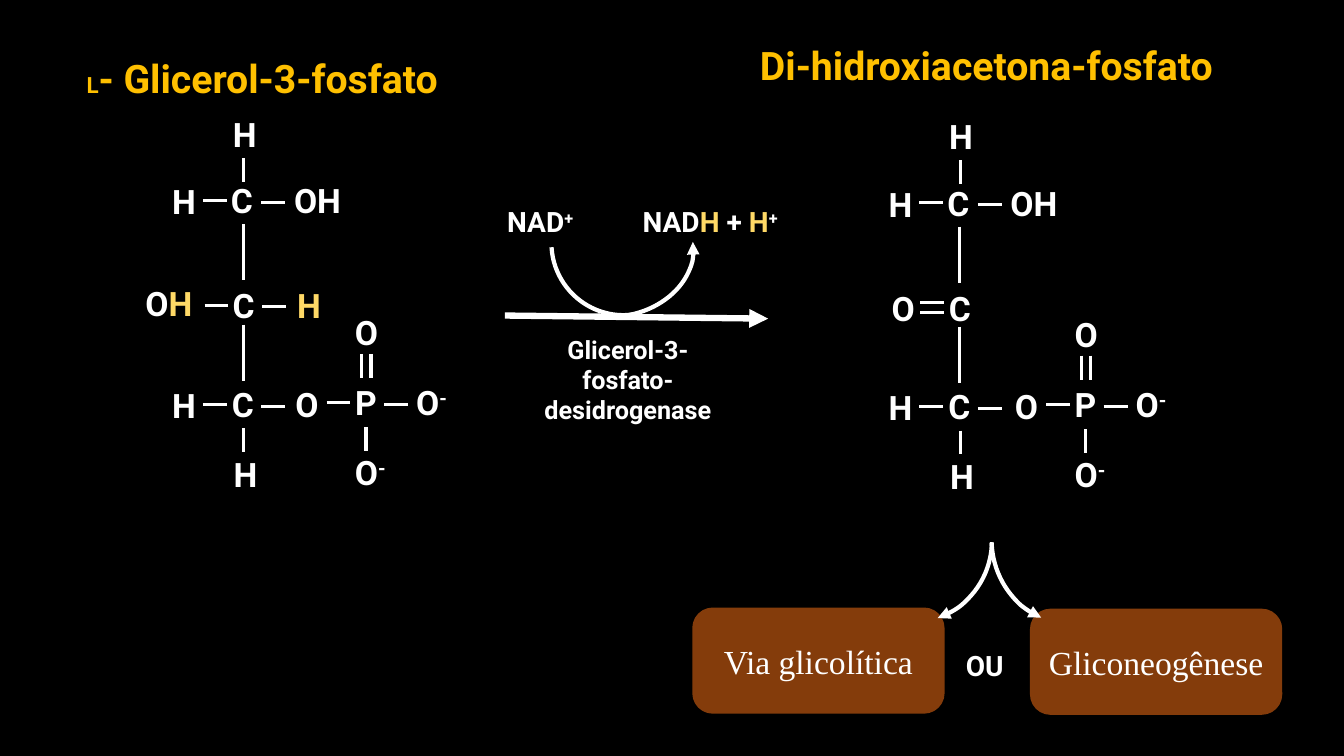
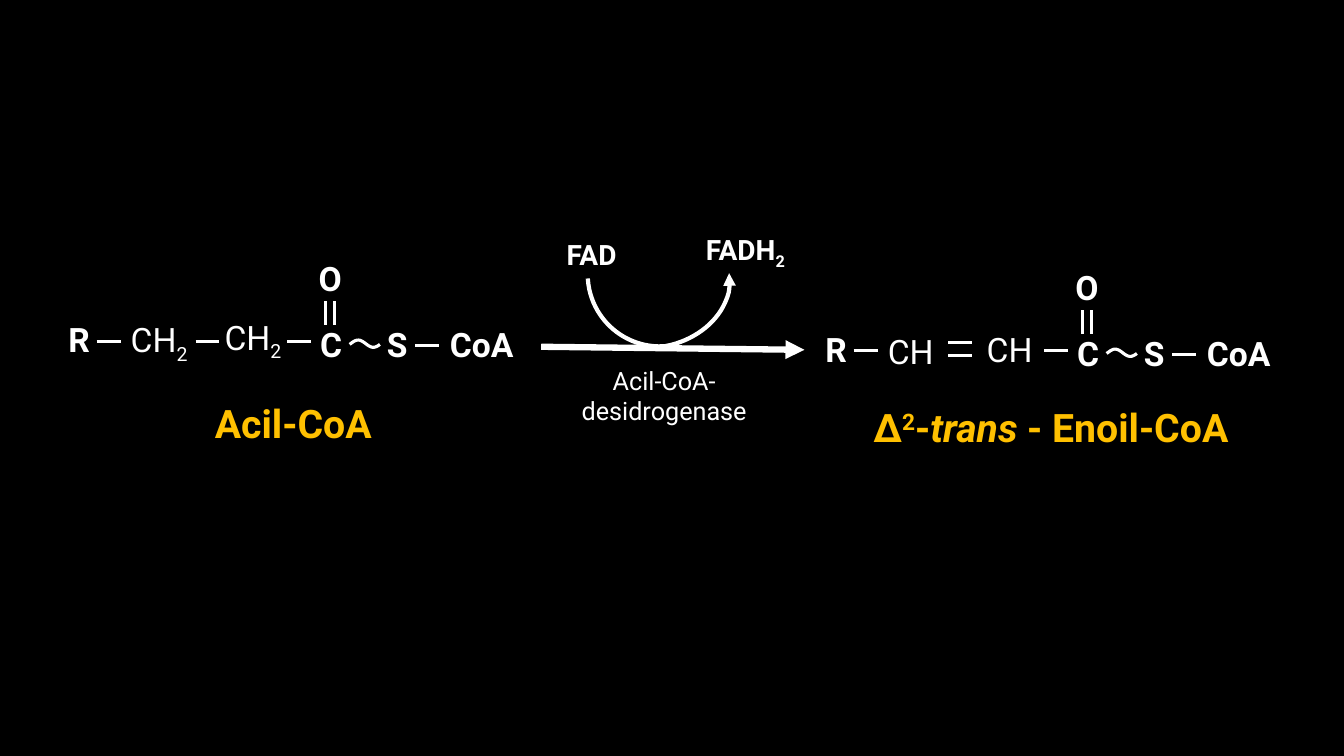
import math

import lxml.etree
import pptx
import pptx.dml.color
import pptx.enum.shapes
import pptx.enum.text
import pptx.oxml.ns
import pptx.util

Pt = pptx.util.Pt
qn = pptx.oxml.ns.qn
SHAPE = pptx.enum.shapes.MSO_SHAPE
ALIGN = pptx.enum.text.PP_ALIGN
ANCHOR = pptx.enum.text.MSO_ANCHOR

BLACK = pptx.dml.color.RGBColor(0x00, 0x00, 0x00)
WHITE = pptx.dml.color.RGBColor(0xFF, 0xFF, 0xFF)
AMBER = pptx.dml.color.RGBColor(0xFF, 0xC0, 0x00)
PALE_YELLOW = pptx.dml.color.RGBColor(0xFF, 0xD9, 0x66)
BROWN = pptx.dml.color.RGBColor(0x84, 0x3C, 0x0B)

BOND = 17
LONG_BOND = 40
TRANSFERRED_H = ("H", {"color": PALE_YELLOW})
CHARGED_O = ["O", ("-", {"baseline": 30})]
METHYLENE = ["CH", ("2", {"baseline": -25})]


def add_runs(paragraph, runs, **shared):
    for item in runs:
        text, own = (item, {}) if isinstance(item, str) else item
        style = {"font": "Roboto", "bold": True, "color": WHITE, **shared, **own}
        run = paragraph.add_run()
        run.text = text
        run.font.name = style["font"]
        run.font.size = Pt(style["size"])
        run.font.bold = style["bold"]
        run.font.color.rgb = style["color"]
        if "italic" in style:
            run.font.italic = style["italic"]
        if "baseline" in style:
            run._r.get_or_add_rPr().set("baseline", str(style["baseline"] * 1000))


def add_label(slide, x, y, runs, width=38, height=36, size=24, align=ALIGN.CENTER, **style):
    label = slide.shapes.add_textbox(
        Pt(x - width / 2), Pt(y - height / 2), Pt(width), Pt(height)
    )
    label.text_frame.word_wrap = True
    paragraph = label.text_frame.paragraphs[0]
    paragraph.alignment = align
    add_runs(paragraph, runs, size=size, **style)


def add_heading(placeholder, left, top, width, runs):
    placeholder.left, placeholder.top = Pt(left), Pt(top)
    placeholder.width, placeholder.height = Pt(width), Pt(41.8)
    frame = placeholder.text_frame
    frame.word_wrap = True
    frame.auto_size = pptx.enum.text.MSO_AUTO_SIZE.NONE
    frame.vertical_anchor = ANCHOR.TOP
    paragraph = frame.paragraphs[0]
    properties = paragraph._p.get_or_add_pPr()
    properties.set("marL", "0")
    properties.set("indent", "0")
    lxml.etree.SubElement(properties, qn("a:buNone"))
    paragraph.alignment = ALIGN.CENTER
    paragraph.line_spacing = 0.9
    paragraph.space_before = Pt(0)
    add_runs(paragraph, runs, size=28, color=AMBER)


def style_line(shape, width, arrow_end=None):
    shape.line.color.rgb = WHITE
    shape.line.width = Pt(width)
    if arrow_end:
        line = shape._element.spPr.find(qn("a:ln"))
        lxml.etree.SubElement(line, qn(arrow_end)).set("type", "triangle")


def add_line(slide, x1, y1, x2, y2, width=2.25, arrow_end=None):
    line = slide.shapes.add_connector(
        pptx.enum.shapes.MSO_CONNECTOR.STRAIGHT, Pt(x1), Pt(y1), Pt(x2), Pt(y2)
    )
    style_line(line, width, arrow_end)
    lxml.etree.SubElement(line._element.spPr, qn("a:effectLst"))


def bond_across(slide, x, *heights):
    for y in heights:
        add_line(slide, x, y, x + BOND, y)


def bond_down(slide, y, *columns, length=BOND):
    for x in columns:
        add_line(slide, x, y, x, y + length)


def add_arc(slide, left, top, width, height, rotation, limits, arrow_end=None, flip=False):
    arc = slide.shapes.add_shape(SHAPE.ARC, Pt(left), Pt(top), Pt(width), Pt(height))
    arc.shadow.inherit = False
    arc.fill.background()
    arc.rotation = rotation
    for index, limit in enumerate(limits):
        arc.adjustments[index] = limit
    if flip:
        arc._element.spPr.find(qn("a:xfrm")).set("flipH", "1")
    style_line(arc, 3, arrow_end)


def add_wavy_bond(slide, x, y, width=21.6, amplitude=2.6, steps=24):
    points = [
        (
            Pt(x + width * step / steps),
            Pt(y - amplitude * math.sin(math.tau * step / steps - 0.2)),
        )
        for step in range(steps + 1)
    ]
    builder = slide.shapes.build_freeform(*points[0], scale=1.0)
    builder.add_line_segments(points[1:], close=False)
    wave = builder.convert_to_shape()
    wave.shadow.inherit = False
    wave.fill.background()
    style_line(wave, 2.25)


def add_backbone(slide, x, y):
    add_label(slide, x - 43.2, y + 0.7, ["H"], 27.4)
    add_label(slide, x, y, ["C"])
    add_label(slide, x + 54, y, ["OH"], 57.6)
    add_label(slide, x + 0.4, y - 47.4, ["H"], 28)
    add_label(slide, x + 1.1, y + 74.9, ["C"])
    add_label(slide, x - 43.2, y + 146.1, ["H"], 27.4)
    add_label(slide, x + 0.7, y + 145.4, ["C"])
    add_label(slide, x + 1.1, y + 195.1, ["H"], 28)
    for row in (0, 145.4):
        bond_across(slide, x - 27.8, y + row)
        bond_across(slide, x + 14, y + row + 1.4)
    for row in (-30.3, 162.7):
        bond_down(slide, y + row, x + 1.4)
    for row in (17, 88.5):
        bond_down(slide, y + row, x + 1.1, length=LONG_BOND)


def add_phosphate(slide, x, y):
    add_label(slide, x - 43.9, y + 1.4, ["O"], 27.4)
    add_label(slide, x, y, ["P"])
    add_label(slide, x + 46.8, y, CHARGED_O, 50.4)
    add_label(slide, x + 3.2, y + 49.7, CHARGED_O, 44)
    add_label(slide, x + 0.4, y - 49.7, ["O"], 42.5)
    bond_across(slide, x - 28.1, y)
    bond_across(slide, x + 13, y + 1.4)
    bond_down(slide, y + 18, x)
    bond_down(slide, y - 34.6, x - 2.9, x + 3.6)


def add_thioester(slide, x, y):
    add_label(slide, x, y, ["C"])
    add_label(slide, x - 0.7, y - 46.8, ["O"], 42.5)
    add_label(slide, x + 47.2, y, ["S"], 49)
    add_label(slide, x + 107.6, y, ["CoA"], 73.4)
    bond_down(slide, y - 30.2, x - 4, x + 2.5)
    bond_across(slide, x - 31.3, y - 1.4)
    bond_across(slide, x + 60.1, y + 1.4)
    add_wavy_bond(slide, x + 13.3, y)


def add_reaction(slide, x, y, enzyme, lines, bold):
    add_line(slide, x, y, x + 188, y + 2.2, 4.5, "a:tailEnd")
    add_arc(slide, x + 32.8, y - 101.5, 102.2, 100.8, 228.5, (126.63, 185.35))
    add_arc(slide, x + 26.3, y - 86.8, 108.7, 87.1, 168.7, (108.86, 179.73), "a:headEnd")
    height = 7.2 + 21.8 * lines
    add_label(slide, x + 87.8, y + 9.5 + height / 2, [enzyme], 137.5, height, 18, bold=bold)


def add_cofactor(slide, x, y, runs, width=74.9):
    add_label(slide, x, y, runs, width, 31.7, 20)


def add_pathway(slide, left, top, name):
    box = slide.shapes.add_shape(
        SHAPE.ROUNDED_RECTANGLE, Pt(left), Pt(top), Pt(174.2), Pt(69.8)
    )
    box.shadow.inherit = False
    box.fill.solid()
    box.fill.fore_color.rgb = BROWN
    box.line.color.rgb = BROWN
    box.line.width = Pt(6)
    frame = box.text_frame
    frame.word_wrap = True
    frame.margin_left = frame.margin_right = Pt(3)
    frame.vertical_anchor = ANCHOR.MIDDLE
    paragraph = frame.paragraphs[0]
    paragraph.alignment = ALIGN.CENTER
    add_runs(paragraph, [name], size=24, font="Times New Roman", bold=False)


def add_glycerol_slide(presentation):
    slide = presentation.slides.add_slide(presentation.slide_layouts[1])
    substrate, product = slide.placeholders
    add_heading(substrate, 46.8, 38.9, 280.8, [("L", {"size": 16}), "- Glicerol-3-fosfato"])
    add_heading(product, 532.8, 29.5, 343.4, ["Di-hidroxiacetona-fosfato"])

    add_backbone(slide, 172.8, 143.3)
    add_label(slide, 120.6, 216.7, ["O", TRANSFERRED_H], 59.8)
    add_label(slide, 220.7, 218.2, [TRANSFERRED_H], 56.9)
    bond_across(slide, 146.2, 218.2)
    bond_across(slide, 187.2, 218.9)
    add_phosphate(slide, 261.4, 287.3)

    add_backbone(slide, 684.5, 144.9)
    add_label(slide, 645.1, 220.3, ["O"], 34.6)
    bond_across(slide, 657.4, 216, 223.2)
    add_phosphate(slide, 775.4, 288.7)

    add_reaction(slide, 360.7, 225.4, "Glicerol-3-fosfato-desidrogenase", 3, True)
    add_cofactor(slide, 385.9, 158.4, ["NAD", ("+", {"baseline": 30})])
    reduced = [
        "NAD",
        ("H ", {"color": PALE_YELLOW}),
        "+ ",
        TRANSFERRED_H,
        ("+", {"baseline": 30}),
    ]
    add_cofactor(slide, 507.2, 158.4, reduced, 137.5)

    add_pathway(slide, 497.5, 437, "Via glicolítica")
    add_pathway(slide, 738.7, 437.8, "Gliconeogênese")
    add_cofactor(slide, 703.4, 475.2, ["OU"])
    fork_limits = (72.75, 114.7)
    add_arc(slide, 708.5, 329, 108.7, 116.6, 348.3, fork_limits, "a:headEnd")
    add_arc(slide, 592.6, 328.3, 115.9, 116.6, 11.9, fork_limits, "a:headEnd", flip=True)


def add_acyl_slide(presentation):
    slide = presentation.slides.add_slide(presentation.slide_layouts[1])
    substrate, product = slide.placeholders
    add_heading(substrate, 119.5, 285.1, 180, ["Acil-CoA"])
    enoyl = ["Δ", ("2", {"baseline": 30}), "-", ("trans ", {"italic": True}), "- Enoil-CoA"]
    add_heading(product, 592.6, 288, 316.1, enoyl)

    carbon = {"bold": False, "align": ALIGN.LEFT}
    add_label(slide, 56.5, 242.6, ["R"])
    add_label(slide, 114.8, 242.6, METHYLENE, 57, **carbon)
    add_label(slide, 181.8, 240.5, METHYLENE, 57, **carbon)
    for x in (69.1, 139.7):
        bond_across(slide, x, 244.1)
    add_thioester(slide, 236.5, 245.5)

    add_label(slide, 597.2, 249.1, ["R"])
    add_label(slide, 651.6, 250.6, ["CH"], 49, **carbon)
    add_label(slide, 722.2, 249.1, ["CH"], 49, **carbon)
    bond_across(slide, 609.8, 250.6)
    bond_across(slide, 677.5, 244.8, 254.2)
    add_thioester(slide, 777.2, 252)

    add_reaction(slide, 386.6, 247.7, "Acil-CoA-desidrogenase", 2, False)
    add_cofactor(slide, 422.6, 182.2, ["FAD"])
    add_cofactor(slide, 532.4, 178.6, ["FADH", ("2", {"baseline": -25})], 85.7)


def main():
    presentation = pptx.Presentation()
    presentation.slide_width, presentation.slide_height = Pt(960), Pt(540)
    background = presentation.slide_master.background.fill
    background.solid()
    background.fore_color.rgb = BLACK
    add_glycerol_slide(presentation)
    add_acyl_slide(presentation)
    presentation.save("out.pptx")


if __name__ == "__main__":
    main()
